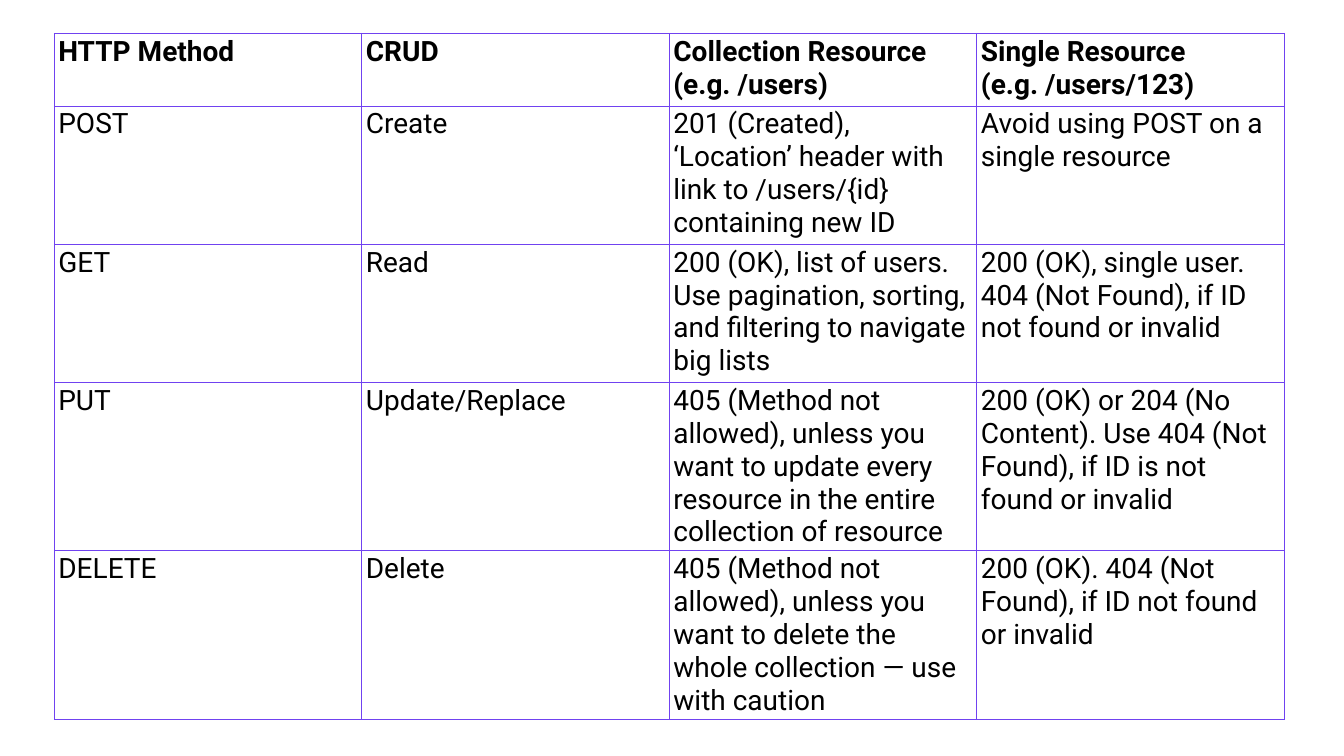
from lxml import etree
from pptx import Presentation
from pptx import util as u
from pptx.dml.color import RGBColor
from pptx.oxml import ns

COLORS = {"text": "000000", "cell": "FFFFFF", "border": "7042F0"}
FONT = "Roboto"
ROW_HEIGHTS = [1.83, 3.48, 3.48, 4.14, 4.14]
METHODS = [
    ("HTTP Method", "CRUD", "Collection Resource (e.g. /users)",
     "Single Resource (e.g. /users/123)"),
    ("POST", "Create",
     "201 (Created), ‘Location’ header with link to /users/{id} containing new ID",
     "Avoid using POST on a single resource"),
    ("GET", "Read",
     "200 (OK), list of users. Use pagination, sorting, and filtering to navigate big lists",
     "200 (OK), single user. 404 (Not Found), if ID not found or invalid"),
    ("PUT", "Update/Replace",
     "405 (Method not allowed), unless you want to update every resource "
     "in the entire collection of resource",
     "200 (OK) or 204 (No Content). Use 404 (Not Found), if ID is not found or invalid"),
    ("DELETE", "Delete",
     "405 (Method not allowed), unless you want to delete the whole collection "
     "— use with caution",
     "200 (OK). 404 (Not Found), if ID not found or invalid"),
]


def color(name):
    return RGBColor.from_string(COLORS[name])


def add_borders(cell):
    properties = cell._tc.get_or_add_tcPr()
    for side in ("a:lnL", "a:lnR", "a:lnT", "a:lnB"):
        line = etree.SubElement(properties, ns.qn(side), w=str(u.Pt(0.75)))
        fill = etree.SubElement(line, ns.qn("a:solidFill"))
        etree.SubElement(fill, ns.qn("a:srgbClr"), val=COLORS["border"])


def fill_cell(cell, wording, is_header):
    # Borders precede the fill in the cell properties
    add_borders(cell)
    cell.fill.solid()
    cell.fill.fore_color.rgb = color("cell")
    cell.margin_left = cell.margin_right = u.Cm(0.1)
    cell.margin_top = cell.margin_bottom = u.Cm(0.05)
    cell.text = wording
    font = cell.text_frame.paragraphs[0].font
    font.name = FONT
    font.size = u.Pt(20)
    font.bold = is_header
    font.color.rgb = color("text")


def add_method_table(slide, left, top, width, height):
    methods = slide.shapes.add_table(
        len(METHODS), len(METHODS[0]), left, top, width, height).table
    methods.horz_banding = False
    for column in methods.columns:
        column.width = width // len(METHODS[0])
    for row, row_height, wordings in zip(methods.rows, ROW_HEIGHTS, METHODS):
        row.height = u.Cm(row_height)
        for cell, wording in zip(row.cells, wordings):
            fill_cell(cell, wording, is_header=wordings is METHODS[0])


def main():
    deck = Presentation()
    deck.slide_width, deck.slide_height = u.Cm(33.87), u.Cm(19.05)
    slide = deck.slides.add_slide(deck.slide_layouts[6])
    add_method_table(slide, u.Cm(1.37), u.Cm(0.84), u.Cm(31), u.Cm(sum(ROW_HEIGHTS)))
    deck.save("out.pptx")


if __name__ == "__main__":
    main()
